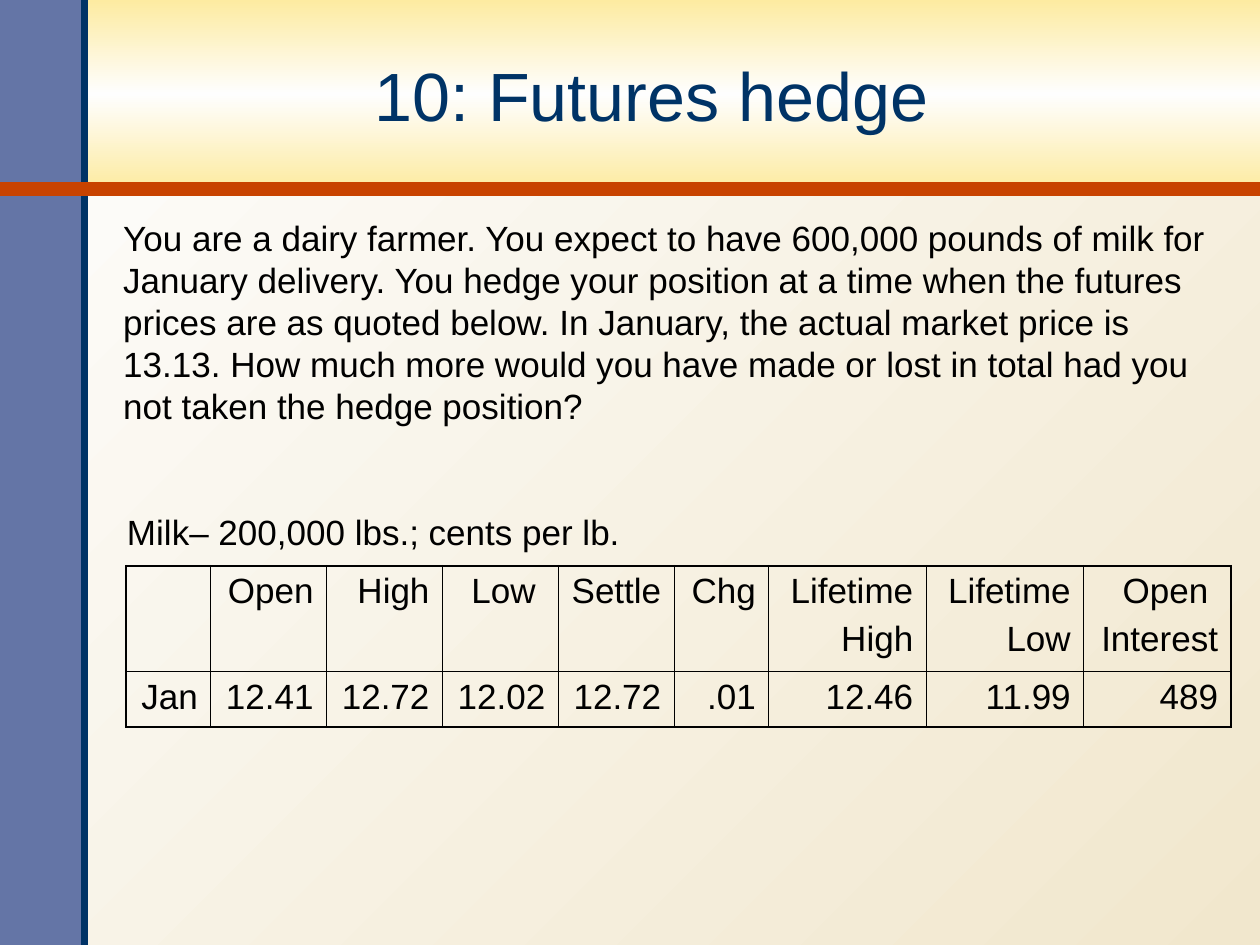
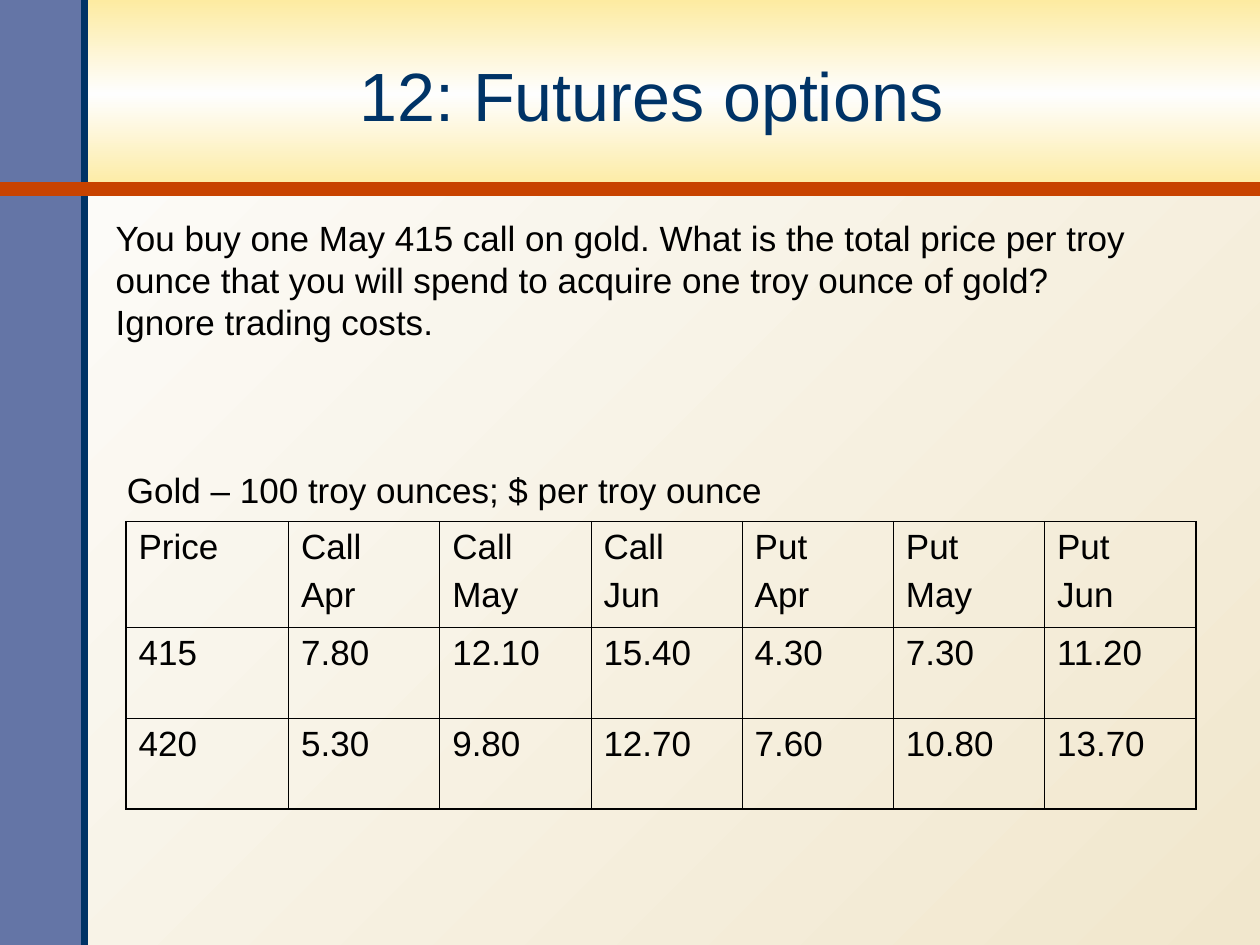
from copy import deepcopy

from lxml.etree import SubElement
from pptx import Presentation
from pptx.dml.color import RGBColor
from pptx.enum.shapes import MSO_CONNECTOR, MSO_SHAPE
from pptx.enum.text import MSO_ANCHOR, MSO_AUTO_SIZE, PP_ALIGN
from pptx.oxml import parse_xml
from pptx.oxml.ns import nsdecls, qn
from pptx.util import Inches, Pt

FONT = "Arial"
NAVY = RGBColor(0x00, 0x33, 0x66)
SLATE = RGBColor(0x64, 0x75, 0xA6)
RUST = RGBColor(0xC8, 0x43, 0x00)
YELLOW = RGBColor(0xFD, 0xEB, 0xA1)
SAND = RGBColor(0xF1, 0xE7, 0xCD)
WHITE = RGBColor(0xFE, 0xFE, 0xFE)
BLACK = RGBColor(0x00, 0x00, 0x00)
OUTER_LINE, INNER_LINE = Pt(1.08), Pt(0.45)

# Contents: a line break in a cell starts a new paragraph
SLIDES = [
    {
        "title": "10: Futures hedge",
        "question": [
            "You are a dairy farmer. You expect to have 600,000 pounds of milk for",
            "January delivery. You hedge your position at a time when the futures",
            "prices are as quoted below. In January, the actual market price is",
            "13.13. How much more would you have made or lost in total had you",
            "not taken the hedge position?",
        ],
        "question_box": (0.88, 1.67, 9, 1.77),
        "caption": "Milk– 200,000 lbs.; cents per lb.",
        "caption_box": (0.91, 4, 4.3, 0.44),
        "table_top": 4.49,
        "columns": [0.67] + [0.92] * 4 + [0.75, 1.25, 1.25, 1.17],
        "rows": [0.84, 0.44],
        "alignment": PP_ALIGN.RIGHT,
        "quotes": [
            ["", "Open", "High", "Low ", "Settle", "Chg",
             "Lifetime\nHigh", "Lifetime\nLow", "Open \nInterest"],
            ["Jan", "12.41", "12.72", "12.02", "12.72", ".01",
             "12.46", "11.99", "489"],
        ],
    },
    {
        "title": "12: Futures options",
        "question": [
            "You buy one May 415 call on gold. What is the total price per troy",
            "ounce that you will spend to acquire one troy ounce of gold?",
            "Ignore trading costs.",
        ],
        "question_box": (0.82, 1.67, 8.5, 1.1),
        "caption": "Gold – 100 troy ounces; $ per troy ounce",
        "caption_box": (0.91, 3.67, 5.4, 0.44),
        "table_top": 4.14,
        "columns": [1.29] + [1.2] * 6,
        "rows": [0.84, 0.72, 0.72],
        "alignment": PP_ALIGN.LEFT,
        "quotes": [
            ["Price", "Call\nApr", "Call\nMay", "Call\nJun",
             "Put\nApr", "Put\nMay", "Put\nJun"],
            ["415", "7.80", "12.10", "15.40", "4.30", "7.30", "11.20"],
            ["420", "5.30", "9.80", "12.70", "7.60", "10.80", "13.70"],
        ],
    },
]


def write_lines(text_frame, lines, size=20, color=BLACK,
                alignment=PP_ALIGN.LEFT, space_before=0):
    for index, line in enumerate(lines):
        paragraph = text_frame.paragraphs[0] if index == 0 else text_frame.add_paragraph()
        paragraph.alignment = alignment
        paragraph.space_before = Pt(space_before if index else 0)
        run = paragraph.add_run()
        run.text = line
        run.font.name = FONT
        run.font.size = Pt(size)
        run.font.color.rgb = color


def set_borders(cell, widths):
    properties = cell._tc.get_or_add_tcPr()
    for index, (side, width) in enumerate(zip("LRTB", widths)):
        line = parse_xml(
            f'<a:ln{side} {nsdecls("a")} w="{int(width)}"><a:solidFill>'
            f'<a:srgbClr val="{BLACK}"/></a:solidFill></a:ln{side}>')
        properties.insert(index, line)


presentation = Presentation()
presentation.slide_width = Inches(10)
presentation.slide_height = Inches(7.5)
layout = presentation.slide_layouts[5]

# Background shared through the master
background = presentation.slide_master.background.fill
background.gradient()
background.gradient_angle = 135
for stop, color in zip(background.gradient_stops, (SAND, WHITE)):
    stop.color.rgb = color

slides = [presentation.slides.add_slide(layout) for content in SLIDES]
shapes = slides[0].shapes

# Title band, side rail and rules, drawn once and moved to the layout
band = shapes.add_shape(MSO_SHAPE.RECTANGLE, 0, 0, Inches(10), Inches(1.5))
band.fill.gradient()
band.fill.gradient_angle = 270
stop_list = band.element.find(".//" + qn("a:gsLst"))
stop_list.append(deepcopy(stop_list[-1]))
for stop, position, color in zip(band.fill.gradient_stops, (0, 0.5, 1),
                                 (YELLOW, WHITE, YELLOW)):
    stop.position = position
    stop.color.rgb = color

rail = shapes.add_shape(MSO_SHAPE.RECTANGLE, 0, 0, Inches(0.67), Inches(7.5))
rail.fill.solid()
rail.fill.fore_color.rgb = SLATE
for shape in (band, rail):
    shape.line.fill.background()
    shape.shadow.inherit = False

decorations = [band, rail]
for start, end, color, width in (((0.67, 7.5), (0.67, 0), NAVY, 4),
                                 ((0, 1.5), (10, 1.5), RUST, 8)):
    rule = shapes.add_connector(MSO_CONNECTOR.STRAIGHT,
                                *map(Inches, start), *map(Inches, end))
    rule.line.color.rgb = color
    rule.line.width = Pt(width)
    SubElement(rule.element.spPr, qn("a:effectLst"))
    decorations.append(rule)

for index, decoration in enumerate(decorations):
    decoration.element.find(".//" + qn("p:cNvPr")).set("id", str(101 + index))
    layout.shapes.element.insert(2 + index, decoration.element)

for slide, content in zip(slides, SLIDES):
    # Title
    title = slide.shapes.title
    title.left, title.top, title.width, title.height = map(Inches, (0.65, 0.15, 9.04, 1.2))
    title.text_frame.auto_size = MSO_AUTO_SIZE.NONE
    title.text_frame.vertical_anchor = MSO_ANCHOR.MIDDLE
    write_lines(title.text_frame, [content["title"]], 39, NAVY, PP_ALIGN.CENTER)

    # Table of quotes
    quotes = content["quotes"]
    row_count, column_count = len(quotes), len(quotes[0])
    table = slide.shapes.add_table(
        row_count, column_count, Inches(1), Inches(content["table_top"]),
        Inches(sum(content["columns"])), Inches(sum(content["rows"]))).table
    table.first_row = table.horz_banding = False
    for column, width in zip(table.columns, content["columns"]):
        column.width = Inches(width)
    for row, height in zip(table.rows, content["rows"]):
        row.height = Inches(height)
    for row_index, row in enumerate(quotes):
        for column_index, text in enumerate(row):
            cell = table.cell(row_index, column_index)
            cell.fill.background()
            on_edge = (column_index == 0, column_index == column_count - 1,
                       row_index == 0, row_index == row_count - 1)
            set_borders(cell, [OUTER_LINE if edge else INNER_LINE for edge in on_edge])
            if text:
                write_lines(cell.text_frame, text.split("\n"),
                            alignment=content["alignment"], space_before=5)

    # Question and table caption
    for box, lines in ((content["question_box"], content["question"]),
                       (content["caption_box"], [content["caption"]])):
        text_box = slide.shapes.add_textbox(*map(Inches, box))
        text_box.text_frame.word_wrap = True
        write_lines(text_box.text_frame, lines)

presentation.save("out.pptx")
